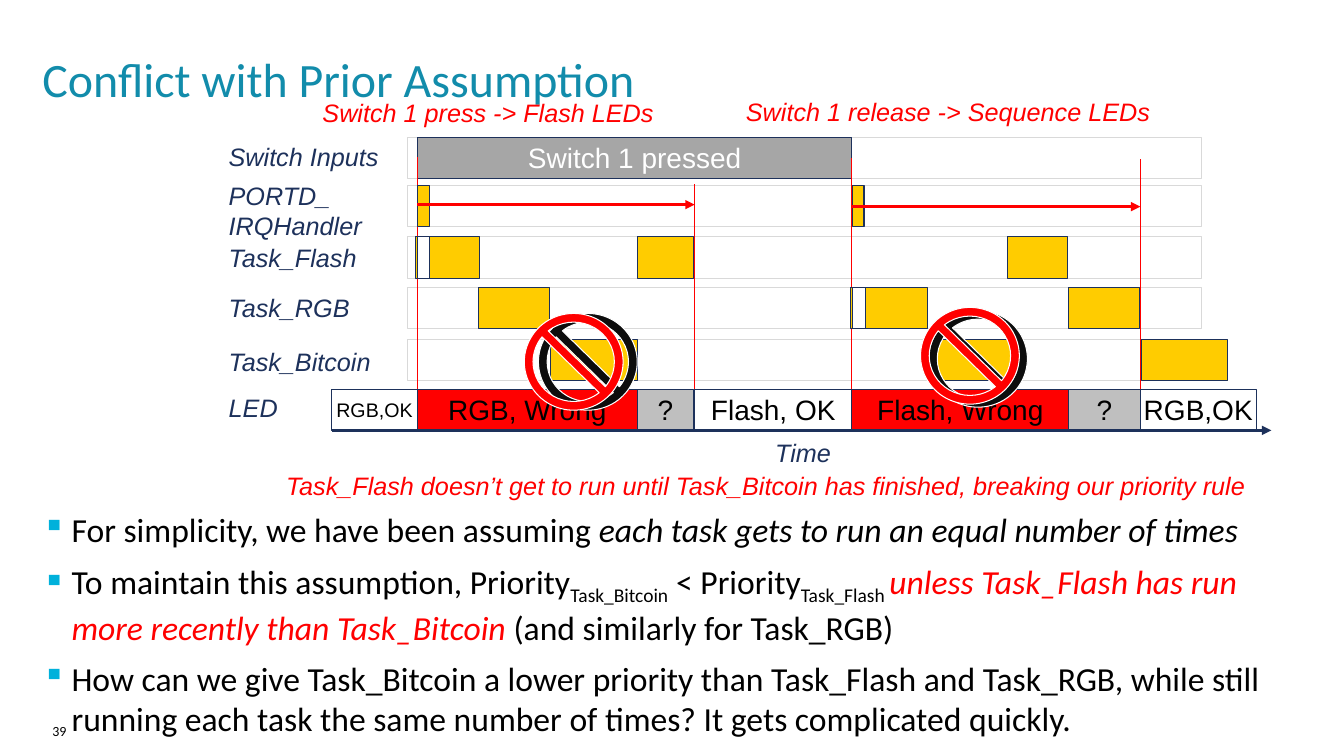
"""Build the slide on scheduling conflicts between tasks that share the LED."""
from dataclasses import dataclass

from lxml.etree import SubElement
from pptx import Presentation
from pptx.dml.color import RGBColor
from pptx.enum.shapes import MSO_CONNECTOR as Connector, MSO_SHAPE as Shape
from pptx.enum.text import MSO_ANCHOR as Anchor, PP_ALIGN as Align
from pptx.oxml.ns import qn
from pptx.util import Pt

SCALE = 9144
BLACK = RGBColor(0x00, 0x00, 0x00)
CHARCOAL = RGBColor(0x0D, 0x0D, 0x0D)
WHITE = RGBColor(0xFF, 0xFF, 0xFF)
RED = RGBColor(0xFF, 0x00, 0x00)
NAVY = RGBColor(0x1D, 0x31, 0x5B)
TEAL = RGBColor(0x12, 0x8C, 0xAB)
YELLOW = RGBColor(0xFF, 0xCC, 0x00)
PALE = RGBColor(0xD9, 0xD9, 0xD9)
SILVER = RGBColor(0xBF, 0xBF, 0xBF)
GREY = RGBColor(0xA6, 0xA6, 0xA6)
BULLET_COLOR = "00B1DB"

ROW_LEFT, ROW_WIDTH, ROW_HEIGHT = 404, 788, 41
SWITCH, HANDLER, FLASH, RGB, MINER, LED = 136, 184, 235, 285, 337, 386
PRESS, FLASH_DONE, RELEASE, RGB_DONE = 414, 689, 845, 1131


@dataclass(frozen=True)
class Run:
    text: str
    color: RGBColor = BLACK
    italic: bool = False
    subscript: bool = False


@dataclass(frozen=True)
class Block:
    row: int
    left: int
    right: int
    fill: RGBColor = YELLOW
    text: str = ""
    size: int = 20
    color: RGBColor = BLACK


@dataclass(frozen=True)
class Label:
    text: str
    left: int
    top: int
    width: int
    height: int = 40
    color: RGBColor = NAVY
    wrap: bool = False
    align: Align = Align.LEFT


@dataclass(frozen=True)
class Line:
    start: tuple[int, int]
    end: tuple[int, int]
    color: RGBColor = RED
    arrow: bool = False


@dataclass(frozen=True)
class Ban:
    left: int
    top: int
    fill: RGBColor


LABELS = [
    Label("Switch Inputs", 217, 135, 170),
    Label("PORTD_ IRQHandler", 217, 174, 160, 71, wrap=True),
    Label("Task_Flash", 217, 235, 148),
    Label("Task_RGB", 217, 285, 141),
    Label("Task_Bitcoin", 217, 339, 165),
    Label("LED", 217, 384, 69),
    Label("Time", 759, 433, 83, 6),
    Label("Switch 1 press -> Flash LEDs", 310, 92, 352, color=RED),
    Label("Switch 1 release -> Sequence LEDs", 730, 91, 425, color=RED),
    Label("Task_Flash doesn’t get to run until Task_Bitcoin has finished, breaking our priority rule",
          262, 462, 995, color=RED, wrap=True, align=Align.CENTER),
]
PRESSED = Block(SWITCH, PRESS, RELEASE, GREY, "Switch 1 pressed", color=WHITE)
EVENTS = [
    Line((PRESS, 156), (PRESS, 407)),
    Line((FLASH_DONE, 183), (FLASH_DONE, 387)),
    Line((RELEASE, 157), (RELEASE, 391)),
    Line((RGB_DONE, 158), (RGB_DONE, 386)),
]
BLOCKS = [
    Block(HANDLER, PRESS, 426),
    Block(HANDLER, 846, 857),
    Block(FLASH, 412, 476),
    Block(FLASH, PRESS, 426, WHITE),
    Block(FLASH, 632, 688),
    Block(FLASH, 999, 1059),
    Block(RGB, 475, 545),
    Block(RGB, 844, 920),
    Block(RGB, 846, 858, WHITE),
    Block(RGB, 1060, 1130),
    Block(MINER, 546, 632),
    Block(MINER, 921, 1007),
    Block(MINER, 1132, 1218),
    Block(LED, 329, PRESS, WHITE, "RGB,OK", 14),
    Block(LED, PRESS, 632, RED, "RGB, Wrong"),
    Block(LED, 632, 688, SILVER, "?"),
    Block(LED, FLASH_DONE, RELEASE, WHITE, "Flash, OK"),
    Block(LED, RELEASE, 1060, RED, "Flash, Wrong"),
    Block(LED, 1060, RGB_DONE, SILVER, "?"),
    Block(LED, RGB_DONE, 1246, WHITE, "RGB,OK"),
]
ARROWS = [
    Line((PRESS, 203), (FLASH_DONE, 203), arrow=True),
    Line((RELEASE, 205), (RGB_DONE, 205), arrow=True),
    Line((329, 427), (1261, 427), NAVY, True),
]
BANS = [Ban(534, 311, CHARCOAL), Ban(921, 308, CHARCOAL), Ban(520, 311, RED), Ban(913, 305, RED)]
BODY = [
    [Run("For simplicity, we have been assuming "),
     Run("each task gets to run an equal number of times", italic=True)],
    [Run("To maintain this assumption, Priority"), Run("Task_Bitcoin", subscript=True),
     Run(" < Priority"), Run("Task_Flash ", subscript=True),
     Run("unless Task_Flash has run more recently than Task_Bitcoin ", RED, True),
     Run("(and similarly for Task_RGB)")],
    [Run("How can we give Task_Bitcoin a lower priority than Task_Flash and Task_RGB, while still "
         "running each task the same number of times? It gets complicated quickly.")],
]


def px(length: int) -> int:
    """Turn a length in px into EMU."""
    return length * SCALE


def add_bullet(paragraph) -> None:
    """Give a paragraph a hanging square bullet."""
    properties = paragraph._p.get_or_add_pPr()
    properties.set("marL", str(px(29)))
    properties.set("indent", str(px(-29)))
    SubElement(SubElement(properties, qn("a:buClr")), qn("a:srgbClr")).set("val", BULLET_COLOR)
    SubElement(properties, qn("a:buSzPct")).set("val", "95000")
    SubElement(properties, qn("a:buChar")).set("char", "▪")


def write(shape, paragraphs: list[list[Run]], *, size: float, font: str = "Arial",
          align: Align = Align.LEFT, anchor: Anchor = Anchor.TOP, wrap: bool = False,
          inset: bool = True, bullets: bool = False) -> None:
    """Write formatted paragraphs into a shape."""
    frame = shape.text_frame
    frame.word_wrap = wrap
    frame.vertical_anchor = anchor
    if not inset:
        frame.margin_left = frame.margin_top = frame.margin_right = frame.margin_bottom = 0
    for index, runs in enumerate(paragraphs):
        paragraph = frame.add_paragraph() if index else frame.paragraphs[0]
        paragraph.alignment = align
        if bullets:
            paragraph.space_after = Pt(8)
            add_bullet(paragraph)
        for item in runs:
            run = paragraph.add_run()
            run.text = item.text
            run.font.name, run.font.size, run.font.italic = font, Pt(size), item.italic
            run.font.color.rgb = item.color
            if item.subscript:
                run._r.get_or_add_rPr().set("baseline", "-25000")


def add_box(slide, left: int, top: int, width: int, height: int):
    """Add an empty text box."""
    return slide.shapes.add_textbox(px(left), px(top), px(width), px(height))


def add_shape(slide, kind: Shape, left: int, top: int, width: int, height: int,
              fill: RGBColor | None, line: RGBColor):
    """Add a thinly outlined preset shape."""
    shape = slide.shapes.add_shape(kind, px(left), px(top), px(width), px(height))
    shape.shadow.inherit = False
    if fill is None:
        shape.fill.background()
    else:
        shape.fill.solid()
        shape.fill.fore_color.rgb = fill
    shape.line.color.rgb = line
    shape.line.width = Pt(0.75)
    return shape


def add_block(slide, block: Block) -> None:
    """Add one stretch of activity on the timeline."""
    shape = add_shape(slide, Shape.RECTANGLE, block.left, block.row, block.right - block.left,
                      ROW_HEIGHT, block.fill, NAVY)
    if block.text:
        write(shape, [[Run(block.text, block.color)]], size=block.size,
              align=Align.CENTER, anchor=Anchor.MIDDLE)


def add_line(slide, line: Line) -> None:
    """Add a thin line or a heavy arrow."""
    connector = slide.shapes.add_connector(Connector.STRAIGHT, *map(px, line.start + line.end))
    connector.line.color.rgb = line.color
    connector.line.width = Pt(2.25 if line.arrow else 0.75)
    if line.arrow:
        SubElement(connector.line._get_or_add_ln(), qn("a:tailEnd")).set("type", "triangle")
    SubElement(connector._element.spPr, qn("a:effectLst"))


def main() -> None:
    """Build and save the slide."""
    presentation = Presentation()
    presentation.slide_width, presentation.slide_height = px(1333), px(750)
    slide = presentation.slides.add_slide(presentation.slide_layouts[6])
    write(add_box(slide, 52, 717, 143, 26), [[Run("39")]], size=10, font="Calibri", inset=False)
    write(add_box(slide, 42, 49, 1268, 47), [[Run("Conflict with Prior Assumption", TEAL)]],
          size=34.2, font="Calibri", wrap=True, inset=False)
    write(add_box(slide, 42, 505, 1260, 209), BODY, size=24, font="Calibri", wrap=True,
          inset=False, bullets=True)
    for top in (SWITCH, HANDLER, FLASH, RGB, MINER):
        add_shape(slide, Shape.RECTANGLE, ROW_LEFT, top, ROW_WIDTH, ROW_HEIGHT, None, PALE)
    add_block(slide, PRESSED)
    for event in EVENTS:
        add_line(slide, event)
    for block in BLOCKS:
        add_block(slide, block)
    for arrow in ARROWS:
        add_line(slide, arrow)
    for label in LABELS:
        write(add_box(slide, label.left, label.top, label.width, label.height),
              [[Run(label.text, label.color, True)]], size=18, wrap=label.wrap, align=label.align)
    for ban in BANS:
        shape = add_shape(slide, Shape.NO_SYMBOL, ban.left, ban.top, 98, 96, ban.fill, WHITE)
        shape.adjustments[0] = 0.09
    presentation.save("out.pptx")


if __name__ == "__main__":
    main()
